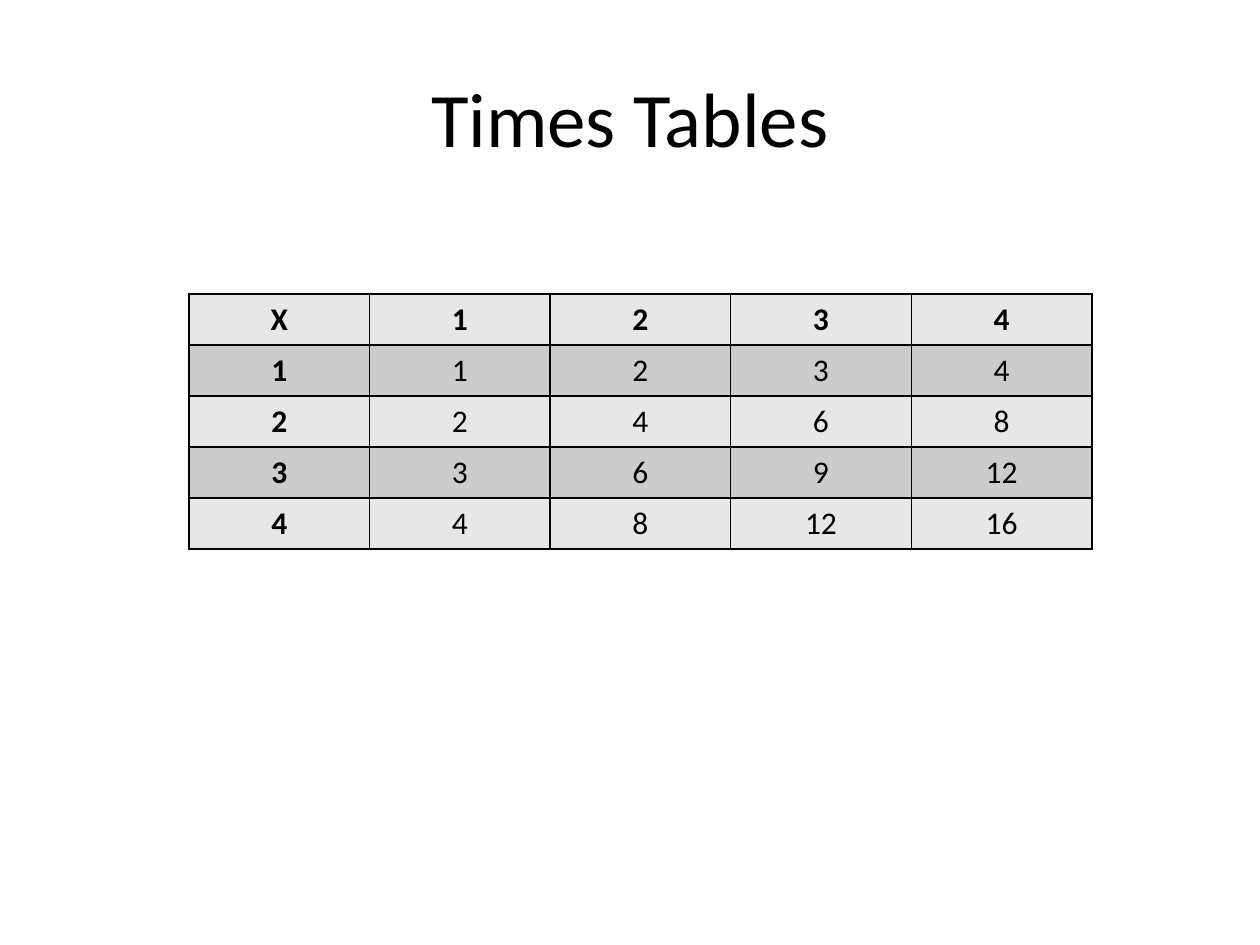
from lxml import etree
from pptx import Presentation
from pptx import util as u
from pptx.dml import color
from pptx.enum import text
from pptx.oxml import ns


def px(length):
    return u.Emu(round(length * 914400 / 126))


def style(para, size, bold=False, hex_color="000000"):
    para.alignment = text.PP_ALIGN.CENTER
    para.font.name = "Calibri"
    para.font.size = u.Pt(size)
    para.font.bold = bold
    para.font.color.rgb = color.RGBColor.from_string(hex_color)


deck = Presentation()
deck.slide_width = px(1260)
deck.slide_height = px(945)
page = deck.slides.add_slide(deck.slide_layouts[6])

title = page.shapes.add_textbox(px(63), px(38), px(1134), px(157))
title.text_frame.word_wrap = True
title.text_frame.vertical_anchor = text.MSO_ANCHOR.MIDDLE
title.text_frame.text = "Times Tables"
style(title.text_frame.paragraphs[0], 44)

factors = [1, 2, 3, 4]
rows = [["X", *factors]]
rows += [[factor, *(factor * other for other in factors)] for factor in factors]

count = len(rows)
table = page.shapes.add_table(count, count, px(189), px(294), px(903), px(255)).table

for row_index, row in enumerate(rows):
    for column_index, value in enumerate(row):
        cell = table.cell(row_index, column_index)
        cell.text = str(value)
        style(cell.text_frame.paragraphs[0], 18, row_index == 0 or column_index == 0)
        properties = cell._tc.get_or_add_tcPr()
        for side in ("a:lnL", "a:lnR", "a:lnT", "a:lnB"):
            border = etree.SubElement(properties, ns.qn(side), w=str(u.Pt(1)))
            fill = etree.SubElement(border, ns.qn("a:solidFill"))
            etree.SubElement(fill, ns.qn("a:srgbClr"), val="000000")
        cell.fill.solid()
        cell.fill.fore_color.rgb = color.RGBColor.from_string(("E7E7E7", "CCCCCC")[row_index % 2])

deck.save("out.pptx")
